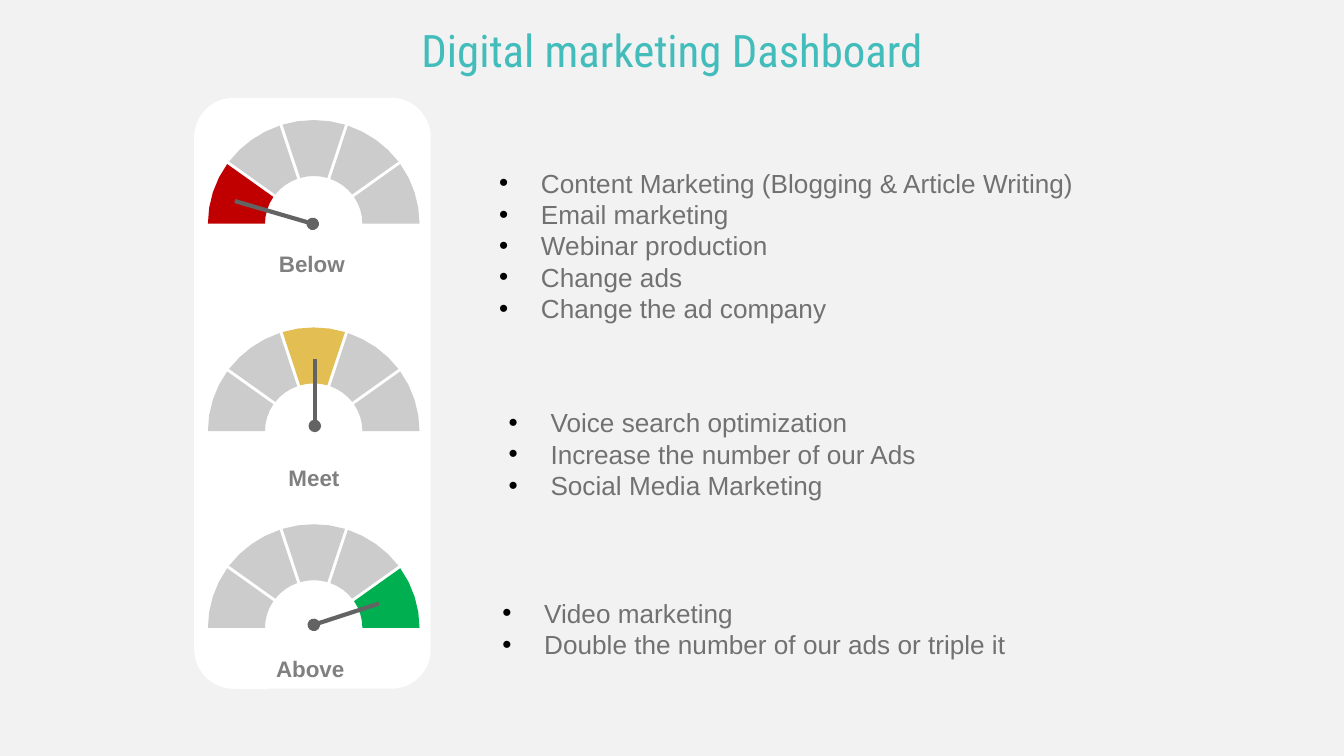
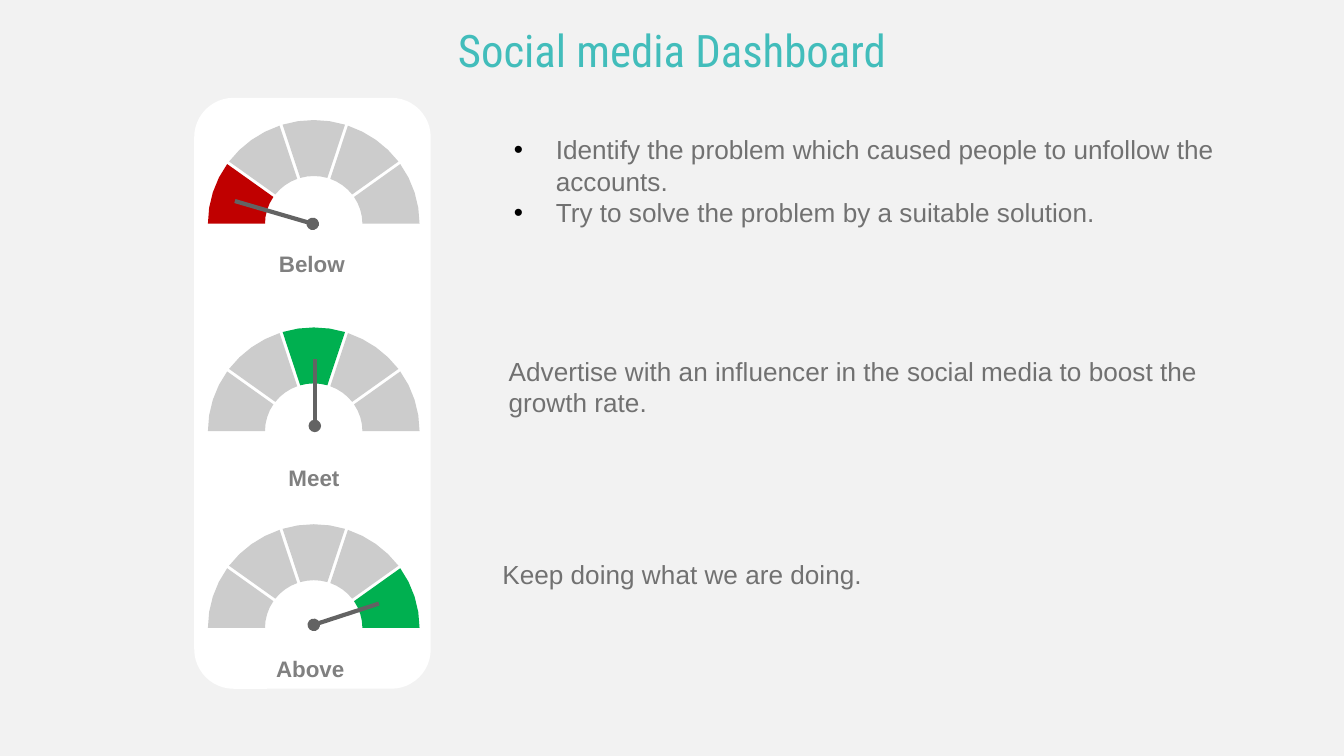
from math import asin, cos, degrees, radians, sin

from lxml import etree
from pptx import Presentation
from pptx.dml.color import RGBColor
from pptx.enum.shapes import MSO_CONNECTOR, MSO_SHAPE
from pptx.enum.text import MSO_ANCHOR, MSO_AUTO_SIZE, PP_ALIGN
from pptx.oxml.ns import qn
from pptx.util import Cm, Pt

STRAIGHT = MSO_CONNECTOR.STRAIGHT
ROUNDED = MSO_SHAPE.ROUNDED_RECTANGLE
TOP, MIDDLE = MSO_ANCHOR.TOP, MSO_ANCHOR.MIDDLE
GROW, FIXED = MSO_AUTO_SIZE.SHAPE_TO_FIT_TEXT, MSO_AUTO_SIZE.NONE
LEFT, CENTER = PP_ALIGN.LEFT, PP_ALIGN.CENTER

BACKGROUND, WHITE, BLACK = "F2F2F2", "FFFFFF", "000000"
TEAL, LABEL_GREY, TEXT_GREY = "42BDBB", "808080", "717171"
SEGMENT_GREY, NEEDLE_GREY = "CCCCCC", "636363"
RED, YELLOW, GREEN = "C00000", "E2BE53", "00B050"
TITLE_FONT, BODY_FONT = "Roboto Condensed", "Arial"

COMPARISON_LAYOUT = 4
ACTION_PLACEHOLDERS = (1, 2, 4)
SPARE_PLACEHOLDER = 3

SEGMENTS = 5
OUTER_RADIUS, INNER_RADIUS, HALF_GAP = 2, 0.92, 0.03
FLATTENING = 0.98
ARC_STEPS = 4
GAUGE_OFFSET = 2.26
LABEL_HEIGHT = 0.76
ACTION_WIDTH = 14.68
BULLET_INDENT = 0.79

LEVELS = [
    ("Below", (-0.01, 2.75), 2.38, 0, (-0.02, 0), (-1.49, -0.43)),
    ("Meet", (0.03, 6.8), 6.3, 2, (0.02, -0.1), (0.02, -1.37)),
    ("Above", (-0.04, 10.4), 10.02, 4, (0, -0.06), (1.23, -0.46)),
]

DASHBOARDS = [
    ("Digital marketing Dashboard", (RED, YELLOW, GREEN), [
        (9.18, 3.03, 3.25, True, [
            "Content Marketing (Blogging & Article Writing)",
            "Email marketing",
            "Webinar production",
            "Change ads",
            "Change the ad company",
        ]),
        (9.36, 7.56, 2.64, True, [
            "Voice search optimization",
            "Increase the number of our Ads",
            "Social Media Marketing",
        ]),
        (9.24, 11.16, 1.45, True, [
            "Video marketing",
            "Double the number of our ads or triple it",
        ]),
    ]),
    ("Social media Dashboard", (RED, GREEN, GREEN), [
        (9.46, 2.4, 2.64, True, [
            "Identify the problem which caused people to unfollow the accounts.",
            "Try to solve the problem by a suitable solution.",
        ]),
        (9.36, 6.59, 1.45, False, [
            "Advertise with an influencer in the social media to boost the growth rate.",
        ]),
        (9.24, 10.42, 0.86, False, ["Keep doing what we are doing."]),
    ]),
]


def rgb(code):
    """Return the colour for a hex string."""
    return RGBColor.from_string(code)


def place(shape, left, top, width, height):
    """Move and size a shape, in centimetres."""
    shape.left, shape.top = Cm(left), Cm(top)
    shape.width, shape.height = Cm(width), Cm(height)


def paint(shape, color):
    """Give a shape a plain fill without outline or shadow."""
    shape.fill.solid()
    shape.fill.fore_color.rgb = rgb(color)
    shape.line.fill.background()
    shape.shadow.inherit = False


def set_bullet(paragraph, bulleted):
    """Turn the bullet and hanging indent of a paragraph on or off."""
    properties = paragraph._p.get_or_add_pPr()
    indent = Cm(BULLET_INDENT) if bulleted else 0
    properties.set("marL", str(indent))
    properties.set("indent", str(-indent))
    if bulleted:
        bullet_color = etree.SubElement(properties, qn("a:buClr"))
        etree.SubElement(bullet_color, qn("a:srgbClr"), val=BLACK)
        etree.SubElement(properties, qn("a:buFont"), typeface=BODY_FONT)
        etree.SubElement(properties, qn("a:buChar"), char="•")
    else:
        etree.SubElement(properties, qn("a:buNone"))


def write_text(shape, lines, size, color, font=BODY_FONT, bold=False, align=LEFT,
               anchor=TOP, fit=GROW, bulleted=False):
    """Fill a shape with one formatted paragraph per line."""
    frame = shape.text_frame
    frame.word_wrap = True
    frame.auto_size = fit
    frame.vertical_anchor = anchor
    frame.text = "\n".join(lines)
    for paragraph in frame.paragraphs:
        paragraph.alignment = align
        paragraph.space_before = Pt(0)
        set_bullet(paragraph, bulleted)
        run_font = paragraph.runs[0].font
        run_font.name, run_font.size, run_font.bold = font, Pt(size), bold
        run_font.color.rgb = rgb(color)


def arc_points(hub_x, hub_y, radius, segment):
    """Return the points of one segment's arc, from left to right."""
    step = 180 / SEGMENTS
    gap = degrees(asin(HALF_GAP / radius))
    start = 180 - segment * step - (gap if segment > 0 else 0)
    end = 180 - (segment + 1) * step + (gap if segment < SEGMENTS - 1 else 0)
    angles = [radians(start + (end - start) * i / ARC_STEPS) for i in range(ARC_STEPS + 1)]
    return [(Cm(hub_x + radius * cos(a)), Cm(hub_y - FLATTENING * radius * sin(a)))
            for a in angles]


def add_needle(slide, start, end):
    """Draw a needle with a round hub at its start."""
    needle = slide.shapes.add_connector(STRAIGHT, *map(Cm, start + end))
    needle.line.color.rgb = rgb(NEEDLE_GREY)
    needle.line.width = Pt(2.25)
    properties = needle._element.spPr
    etree.SubElement(properties.find(qn("a:ln")), qn("a:headEnd"), type="oval")
    etree.SubElement(properties, qn("a:effectLst"))


def add_gauge(slide, hub_x, hub_y, lit_segment, lit_color, needle_start, needle_end):
    """Draw a half-ring gauge around its hub, with one lit segment."""
    ring = slide.shapes.add_group_shape()
    for segment in range(SEGMENTS):
        outer = arc_points(hub_x, hub_y, OUTER_RADIUS, segment)
        inner = arc_points(hub_x, hub_y, INNER_RADIUS, segment)
        outline = ring.shapes.build_freeform(*outer[0])
        outline.add_line_segments(outer[1:] + inner[::-1], close=True)
        paint(outline.convert_to_shape(), lit_color if segment == lit_segment else SEGMENT_GREY)
    ends = [(hub_x + dx, hub_y + dy) for dx, dy in (needle_start, needle_end)]
    add_needle(slide, *ends)


def add_gauge_panel(slide, left, top, width, height, lit_colors):
    """Draw the white panel, a shape turned upright, with its three labelled gauges."""
    turn = (height - width) / 2
    panel = slide.shapes.add_shape(ROUNDED, Cm(left - turn), Cm(top + turn), Cm(height), Cm(width))
    panel.rotation = 90
    paint(panel, WHITE)
    for level, lit_color in zip(LEVELS, lit_colors):
        name, (label_x, label_y), base, lit_segment, needle_start, needle_end = level
        add_gauge(slide, left + GAUGE_OFFSET, top + base, lit_segment, lit_color,
                  needle_start, needle_end)
        label = slide.shapes.add_textbox(Cm(left + label_x), Cm(top + label_y),
                                         Cm(width), Cm(LABEL_HEIGHT))
        write_text(label, [name], size=12, color=LABEL_GREY, bold=True, align=CENTER)


def add_actions(slide, actions):
    """Place the actions for each level in the body placeholders."""
    bodies = {body.placeholder_format.idx: body for body in slide.placeholders}
    for index, (left, top, height, bulleted, lines) in zip(ACTION_PLACEHOLDERS, actions):
        place(bodies[index], left, top, ACTION_WIDTH, height)
        write_text(bodies[index], lines, size=14, color=TEXT_GREY, bulleted=bulleted)
    spare = bodies[SPARE_PLACEHOLDER]._element
    spare.getparent().remove(spare)


def add_dashboard(prs, title, lit_colors, actions):
    """Add one dashboard slide."""
    slide = prs.slides.add_slide(prs.slide_layouts[COMPARISON_LAYOUT])
    heading = slide.shapes.title
    place(heading, 0, 0.3, 25.4, 1.27)
    write_text(heading, [title], size=24, color=TEAL, font=TITLE_FONT,
               align=CENTER, anchor=MIDDLE, fit=FIXED)
    add_gauge_panel(slide, 3.67, 1.85, 4.47, 11.17, lit_colors)
    add_actions(slide, actions)


def main():
    """Build and save the dashboards."""
    prs = Presentation()
    prs.slide_width, prs.slide_height = Cm(25.4), Cm(14.29)
    backdrop = prs.slide_master.background.fill
    backdrop.solid()
    backdrop.fore_color.rgb = rgb(BACKGROUND)
    for dashboard in DASHBOARDS:
        add_dashboard(prs, *dashboard)
    prs.save("out.pptx")


if __name__ == "__main__":
    main()
